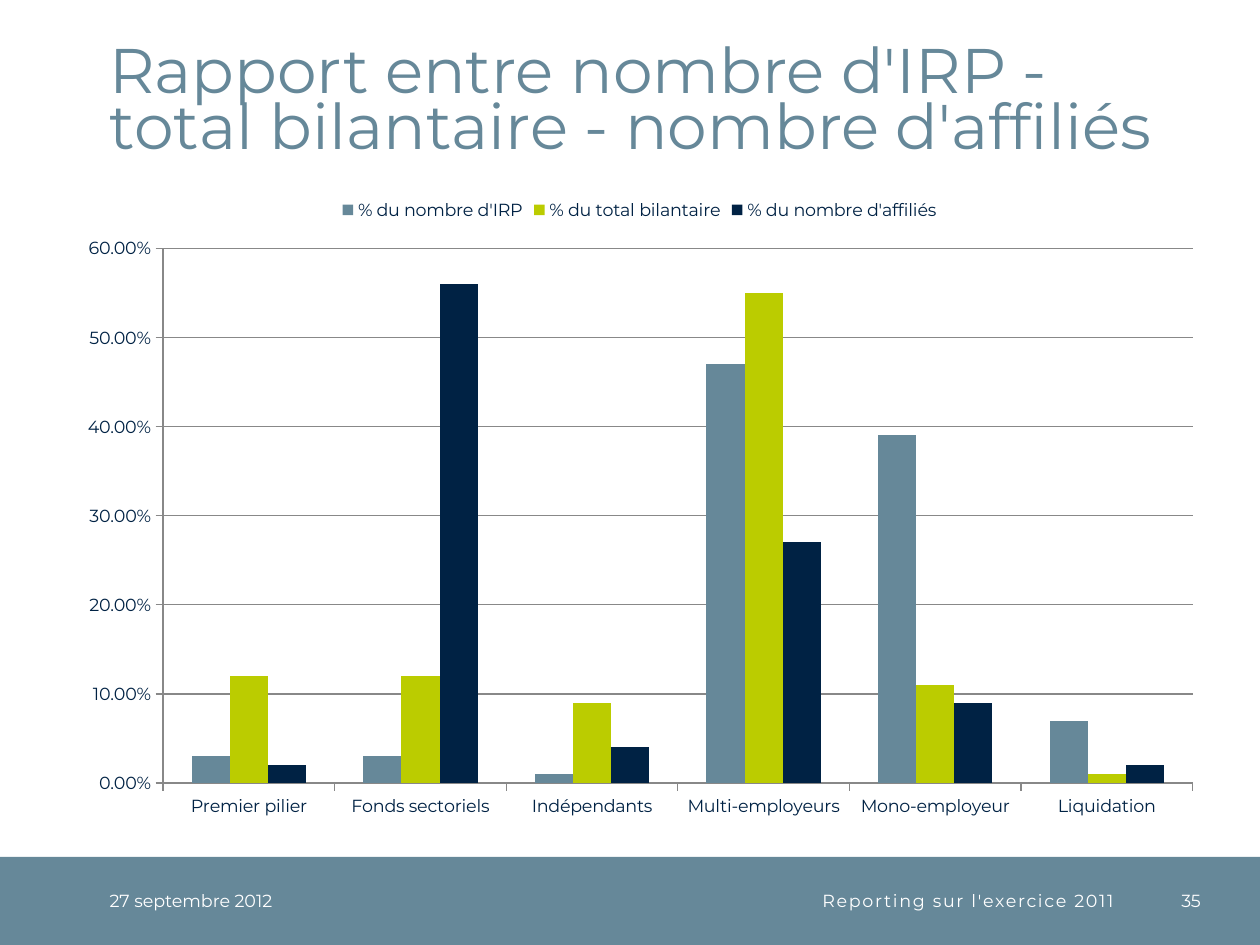
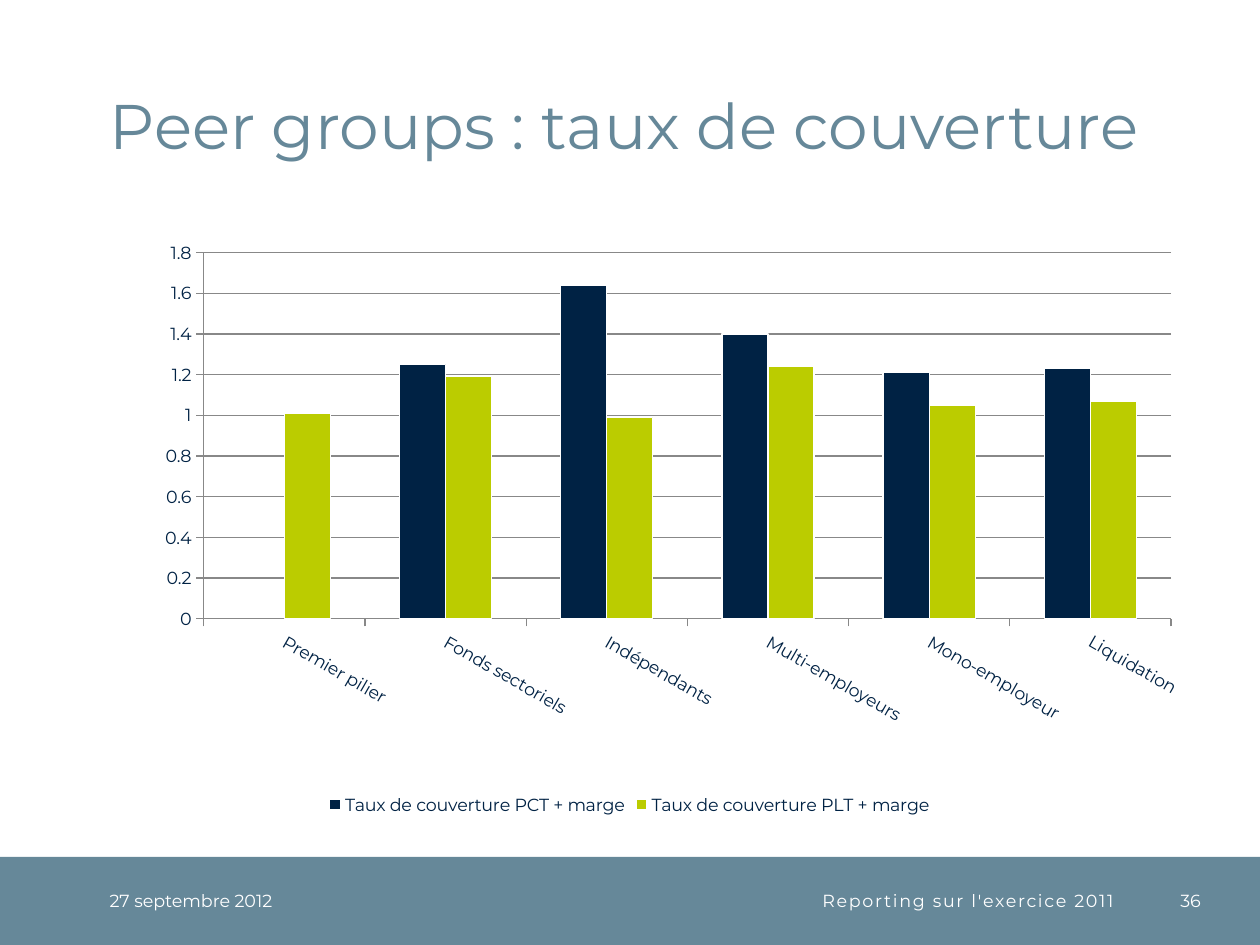
"""Build two chart slides on pension institutions, with a shared title style and footer band."""
from lxml.etree import SubElement
from pptx import Presentation
from pptx.chart.data import CategoryChartData
from pptx.dml.color import RGBColor
from pptx.enum.chart import XL_CHART_TYPE, XL_LEGEND_POSITION, XL_TICK_MARK
from pptx.enum.shapes import MSO_SHAPE
from pptx.enum.text import MSO_ANCHOR, MSO_AUTO_SIZE, PP_ALIGN
from pptx.oxml import parse_xml
from pptx.oxml.ns import nsdecls, qn
from pptx.util import Inches, Pt

WIDTH, HEIGHT = 10, 7.5
FONT = "Montserrat"
STEEL, LIME, NAVY, WHITE, GREY = "668899", "BBCC00", "002244", "FFFFFF", "888888"
TITLE_AREA = (0.87, 0.21, 8.63, 1.08)
BAND_TOP, BAND_HEIGHT = 6.8, 0.7
FIRST_PAGE = 35

GROUPS = ["Premier pilier", "Fonds sectoriels", "Indépendants",
          "Multi-employeurs", "Mono-employeur", "Liquidation"]

FOOTER = [
    ("27 septembre 2012", 0.87, 1.77, {}),
    ("Reporting sur l'exercice 2011", 2.64, 6.2, {"align": PP_ALIGN.RIGHT, "tracking": 1}),
    ("{page}", 9.04, 0.49, {"align": PP_ALIGN.RIGHT}),
]

SLIDES = [
    {
        "title": "Rapport entre nombre d'IRP - total bilantaire - nombre d'affiliés",
        "area": (0.51, 1.47, 9.13, 5.12),
        "plot_percent": (8.6, 9.8, 89.5, 82.9),
        "legend": XL_LEGEND_POSITION.TOP,
        "scale": (0.6, 0.1, "0.00%"),
        "label_angle": 0,
        "outline": None,
        "series": [
            ("% du nombre d'IRP", STEEL, [0.03, 0.03, 0.01, 0.47, 0.39, 0.07]),
            ("% du total bilantaire", LIME, [0.12, 0.12, 0.09, 0.55, 0.11, 0.01]),
            ("% du nombre d'affiliés", NAVY, [0.02, 0.56, 0.04, 0.27, 0.09, 0.02]),
        ],
    },
    {
        "title": "Peer groups : taux de couverture",
        "area": (0.43, 1.47, 9.13, 5.04),
        "plot_percent": (13, 10.6, 84.1, 57.7),
        "legend": XL_LEGEND_POSITION.BOTTOM,
        "scale": (1.8, 0.2, "General"),
        "label_angle": 30,
        "outline": WHITE,
        "series": [
            ("Taux de couverture PCT + marge", NAVY, [None, 1.25, 1.64, 1.4, 1.21, 1.23]),
            ("Taux de couverture PLT + marge", LIME, [1.01, 1.19, 0.99, 1.24, 1.05, 1.07]),
        ],
    },
]


def color(value):
    return RGBColor.from_string(value)


def inches(area):
    return [Inches(length) for length in area]


def style_font(font, size, fill):
    font.name = FONT
    font.size = Pt(size)
    font.color.rgb = color(fill)


def write(box, text, size=10, fill=WHITE, align=PP_ALIGN.LEFT,
          anchor=MSO_ANCHOR.MIDDLE, leading=None, tracking=0):
    frame = box.text_frame
    frame.auto_size = MSO_AUTO_SIZE.NONE
    frame.word_wrap = True
    frame.vertical_anchor = anchor
    frame.margin_left = frame.margin_top = frame.margin_right = frame.margin_bottom = 0
    para = frame.paragraphs[0]
    para.alignment = align
    if leading:
        para.line_spacing = Pt(leading)
    span = para.add_run()
    span.text = text
    style_font(span.font, size, fill)
    if tracking:
        span._r.get_or_add_rPr().set("spc", str(tracking * 100))


def add_title(page, text):
    title = page.shapes.title
    title.left, title.top, title.width, title.height = inches(TITLE_AREA)
    write(title, text, size=36, fill=STEEL, anchor=MSO_ANCHOR.BOTTOM, leading=32)


def add_footer(page, number):
    band = page.shapes.add_shape(
        MSO_SHAPE.RECTANGLE, *inches((0, BAND_TOP, WIDTH, BAND_HEIGHT)))
    band.shadow.inherit = False
    band.fill.solid()
    band.fill.fore_color.rgb = color(STEEL)
    band.line.fill.background()
    for text, left, width, style in FOOTER:
        box = page.shapes.add_textbox(*inches((left, BAND_TOP, width, BAND_HEIGHT)))
        write(box, text.format(page=number), **style)


def place_plot(chart, percents):
    plot_area = chart._chartSpace.chart.plotArea
    for old_layout in plot_area.findall(qn("c:layout")):
        plot_area.remove(old_layout)
    layout = parse_xml(f"<c:layout {nsdecls('c')}/>")
    manual = SubElement(layout, qn("c:manualLayout"))
    shares = [percent / 100 for percent in percents]
    settings = [("layoutTarget", "inner"), ("xMode", "edge"), ("yMode", "edge"),
                *zip("xywh", shares)]
    for name, value in settings:
        SubElement(manual, qn(f"c:{name}")).set("val", str(value))
    plot_area.insert(0, layout)


def style_axes(chart, scale, label_angle):
    values, categories = chart.value_axis, chart.category_axis
    values.minimum_scale = 0
    values.maximum_scale, values.major_unit, number_format = scale
    values.tick_labels.number_format = number_format
    values.tick_labels.number_format_is_linked = False
    values.has_major_gridlines = True
    for axis in (values, categories):
        axis.major_tick_mark = XL_TICK_MARK.OUTSIDE
        axis.minor_tick_mark = XL_TICK_MARK.NONE
        style_font(axis.tick_labels.font, 10, NAVY)
    for line in (values.format.line, categories.format.line, values.major_gridlines.format.line):
        line.color.rgb = color(GREY)
        line.width = Pt(0.75)
    if label_angle:
        body = categories._element.find(qn("c:txPr")).find(qn("a:bodyPr"))
        body.set("rot", str(label_angle * 60000))


def add_columns(page, content):
    data = CategoryChartData()
    data.categories = GROUPS
    for name, _, numbers in content["series"]:
        data.add_series(name, numbers)
    chart = page.shapes.add_chart(
        XL_CHART_TYPE.COLUMN_CLUSTERED, *inches(content["area"]), data).chart
    style_font(chart.font, 10, NAVY)
    chart.has_title = False
    chart.has_legend = True
    chart.legend.position = content["legend"]
    chart.legend.include_in_layout = False
    style_font(chart.legend.font, 10, NAVY)
    plot = chart.plots[0]
    plot.gap_width, plot.overlap, plot.vary_by_categories = 150, 0, False
    for series, (_, fill, _) in zip(plot.series, content["series"]):
        series.invert_if_negative = False
        series.format.fill.solid()
        series.format.fill.fore_color.rgb = color(fill)
        if content["outline"]:
            series.format.line.color.rgb = color(content["outline"])
            series.format.line.width = Pt(0.75)
        else:
            series.format.line.fill.background()
    style_axes(chart, content["scale"], content["label_angle"])
    place_plot(chart, content["plot_percent"])


def main():
    deck = Presentation()
    deck.slide_width, deck.slide_height = inches((WIDTH, HEIGHT))
    for number, content in enumerate(SLIDES, FIRST_PAGE):
        page = deck.slides.add_slide(deck.slide_layouts[5])
        add_title(page, content["title"])
        add_footer(page, number)
        add_columns(page, content)
    deck.save("out.pptx")


if __name__ == "__main__":
    main()
